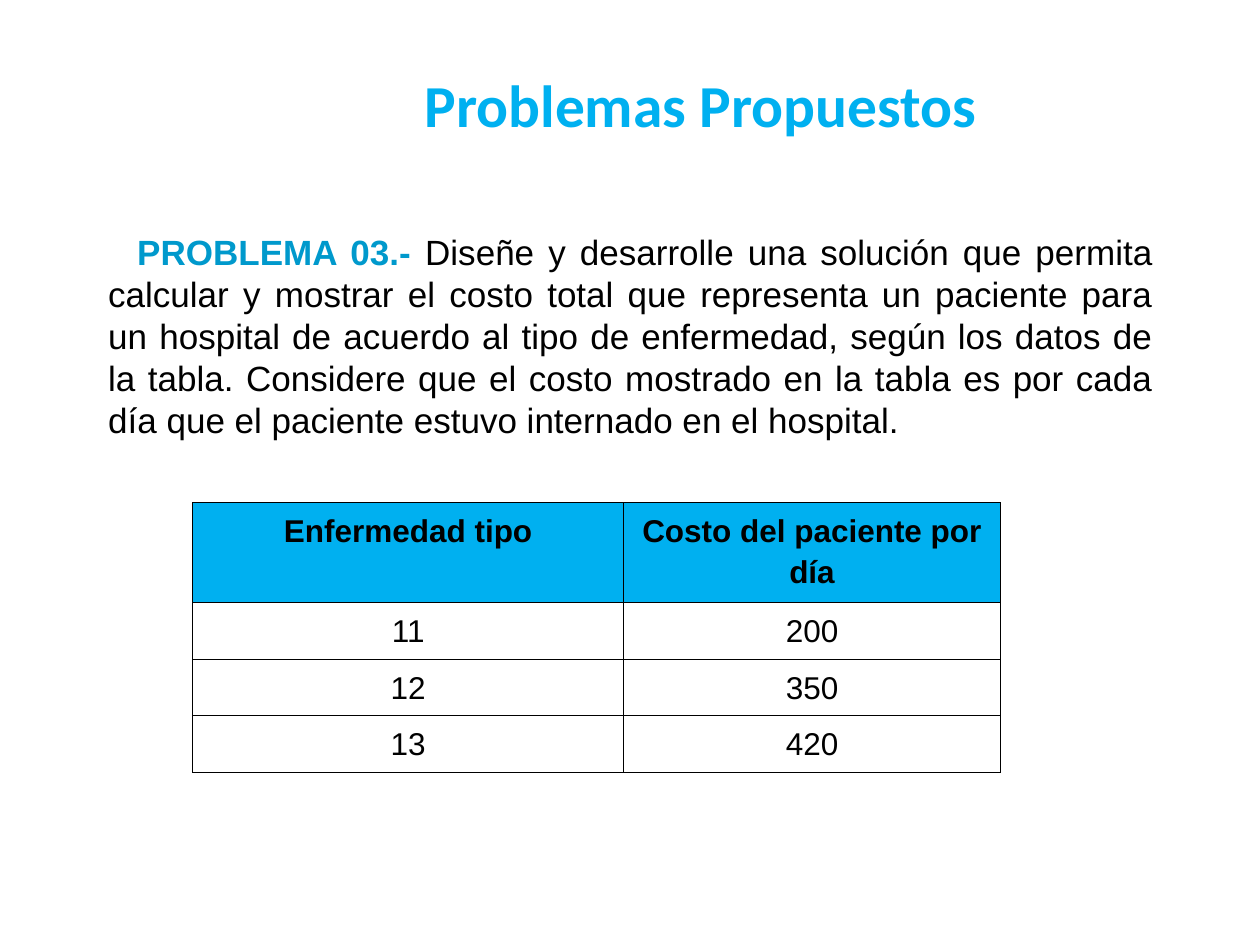
from lxml import etree
from pptx import Presentation
from pptx.dml.color import RGBColor
from pptx.enum.text import MSO_ANCHOR, PP_ALIGN
from pptx.oxml.ns import qn
from pptx.util import Inches, Pt

CENTER, JUSTIFY = PP_ALIGN.CENTER, PP_ALIGN.JUSTIFY
TOP, MIDDLE = MSO_ANCHOR.TOP, MSO_ANCHOR.MIDDLE
SKY, TEAL, BLACK = "00B0F0", "0099CC", "000000"


def color(hex_value):
    return RGBColor.from_string(hex_value)


def apply_format(target, values):
    for name, value in values.items():
        setattr(target, name, value)


class SlideBuilder:
    body_font = "Arial"
    border_width = Pt(0.45)
    cell_margin = Inches(0.05)

    def __init__(self, slide):
        self.slide = slide

    def add_run(self, paragraph, text, size, hex_color=BLACK, bold=False, font=body_font):
        run = paragraph.add_run()
        run.text = text
        apply_format(run.font, {"name": font, "size": Pt(size), "bold": bold})
        run.font.color.rgb = color(hex_color)

    def add_text(self, left, top, width, height, alignment, anchor=TOP,
                 margins=(0.1, 0.05), line_spacing=None):
        box = self.slide.shapes.add_textbox(
            Inches(left), Inches(top), Inches(width), Inches(height))
        side, edge = (Inches(margin) for margin in margins)
        apply_format(box.text_frame, {
            "word_wrap": True, "vertical_anchor": anchor,
            "margin_left": side, "margin_right": side,
            "margin_top": edge, "margin_bottom": edge})
        paragraph = box.text_frame.paragraphs[0]
        apply_format(paragraph, {"alignment": alignment, "line_spacing": line_spacing})
        return paragraph

    def add_borders(self, cell):
        properties = cell._tc.get_or_add_tcPr()
        for position, side in enumerate(("a:lnL", "a:lnR", "a:lnT", "a:lnB")):
            line = etree.Element(qn(side), w=str(self.border_width))
            fill = etree.SubElement(line, qn("a:solidFill"))
            etree.SubElement(fill, qn("a:srgbClr"), val=BLACK)
            properties.insert(position, line)

    def add_table(self, left, top, column_widths, row_heights, rows):
        table = self.slide.shapes.add_table(
            len(rows), len(column_widths), Inches(left), Inches(top),
            Inches(sum(column_widths)), Inches(sum(row_heights))).table
        for column, width in zip(table.columns, column_widths):
            column.width = Inches(width)
        for row, height in zip(table.rows, row_heights):
            row.height = Inches(height)
        margins = {f"margin_{side}": self.cell_margin
                   for side in ("left", "right", "top", "bottom")}
        for row_index, values in enumerate(rows):
            is_header = row_index == 0
            for column_index, value in enumerate(values):
                cell = table.cell(row_index, column_index)
                apply_format(cell, margins)
                if is_header:
                    cell.fill.solid()
                    cell.fill.fore_color.rgb = color(SKY)
                else:
                    cell.fill.background()
                self.add_borders(cell)
                paragraph = cell.text_frame.paragraphs[0]
                apply_format(paragraph, {"alignment": CENTER, "line_spacing": 1.15})
                self.add_run(paragraph, value, 18, bold=is_header)


def main():
    presentation = Presentation()
    presentation.slide_width = Inches(10)
    presentation.slide_height = Inches(7.5)
    builder = SlideBuilder(presentation.slides.add_slide(presentation.slide_layouts[6]))

    # Title
    heading = builder.add_text(1.38, 0.44, 8.36, 0.87, CENTER, MIDDLE, (0, 0), 0.8)
    builder.add_run(heading, "Problemas Propuestos", 34, SKY, True, "Calibri")

    # Problem statement, with an indented first line
    statement = builder.add_text(0.27, 1.78, 8.98, 3.87, JUSTIFY)
    indents = statement._p.get_or_add_pPr()
    indents.set("marL", str(Inches(0.49)))
    indents.set("indent", str(Inches(0.23)))
    builder.add_run(statement, "PROBLEMA 03.- ", 20, TEAL, True)
    builder.add_run(
        statement,
        "Diseñe y desarrolle una solución que permita calcular y mostrar el costo total "
        "que representa un paciente para un hospital de acuerdo al tipo de enfermedad, "
        "según los datos de la tabla. Considere que el costo mostrado en la tabla es por "
        "cada día que el paciente estuvo internado en el hospital.", 20)

    # Daily cost by type of illness
    costs = [("Enfermedad tipo", "Costo del paciente por día"),
             ("11", "200"), ("12", "350"), ("13", "420")]
    builder.add_table(1.53, 3.99, (3.42, 2.99), (0.78, 0.45, 0.45, 0.45), costs)

    presentation.save("out.pptx")


if __name__ == "__main__":
    main()
